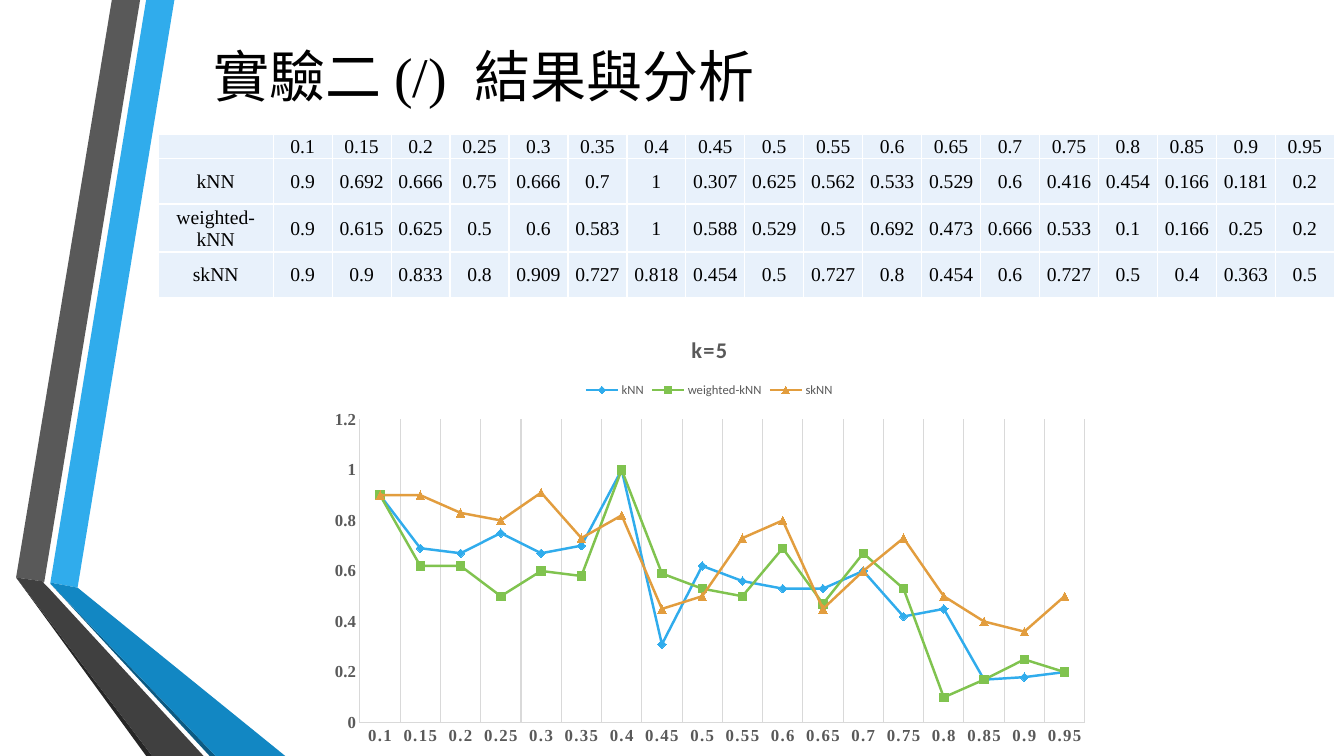
"""Build the slide that compares three kNN variants at k=5."""
from lxml.etree import SubElement
from pptx import Presentation
from pptx.chart.data import CategoryChartData as ChartData
from pptx.dml.color import RGBColor as Color
from pptx.enum.chart import (XL_CHART_TYPE as ChartType, XL_LEGEND_POSITION as LegendPosition,
                             XL_MARKER_STYLE as Marker, XL_TICK_MARK as TickMark)
from pptx.enum.text import MSO_ANCHOR as Anchor, MSO_AUTO_SIZE as AutoSize, PP_ALIGN as Align
from pptx.oxml.ns import qn
from pptx.util import Inches, Pt

TITLE = "實驗二 (/)  結果與分析"
CHART_TITLE = "k=5"
THRESHOLDS = [f"{step * 0.05:g}" for step in range(2, 20)]
RESULTS = {
    "kNN": [0.9, 0.692, 0.666, 0.75, 0.666, 0.7, 1, 0.307, 0.625, 0.562, 0.533, 0.529,
            0.6, 0.416, 0.454, 0.166, 0.181, 0.2],
    "weighted-kNN": [0.9, 0.615, 0.625, 0.5, 0.6, 0.583, 1, 0.588, 0.529, 0.5, 0.692, 0.473,
                     0.666, 0.533, 0.1, 0.166, 0.25, 0.2],
    "skNN": [0.9, 0.9, 0.833, 0.8, 0.909, 0.727, 0.818, 0.454, 0.5, 0.727, 0.8, 0.454,
             0.6, 0.727, 0.5, 0.4, 0.363, 0.5],
}
SERIES_LOOK = [("30ACEC", Marker.DIAMOND), ("80C34F", Marker.SQUARE), ("E29D3E", Marker.TRIANGLE)]
RIBBONS = [
    ("30ACEC", [(0.5, 5.78), (0.77, 5.83), (1.73, 0), (1.45, 0)]),
    ("595959", [(1.39, 0), (1.11, 0), (0.16, 5.73), (0.44, 5.77)]),
    ("262626", [(0.16, 5.73), (1.45, 7.5), (1.51, 7.5)]),
    ("0C5A82", [(0.5, 5.79), (2.08, 7.5), (2.14, 7.5)]),
    ("1287C3", [(0.5, 5.79), (2.14, 7.5), (2.83, 7.5), (0.77, 5.83), (0.5, 5.78)]),
    ("404040", [(2.02, 7.5), (0.48, 5.83), (0.43, 5.78), (0.44, 5.77), (0.16, 5.73), (1.51, 7.5)]),
]
THEME = {
    "serif": "Times New Roman", "sans": "Calibri",
    "ink": "000000", "label": "595959", "rule": "D9D9D9", "cell": "E8F1FB", "border": "FFFFFF",
    "title": 40, "table": 14, "chart": 10, "chart_title": 16, "axis": 12, "legend": 9,
}
TITLE_AREA = (2.02, 0.36, 10.36, 0.77)
TABLE_AREA = (1.57, 1.33, 11.67, 1.62)
CHART_AREA = (3.16, 3.14, 7.75, 4.33)
PLOT_AREA = (3.57, 4.16, 7.19, 3.01)
NAME_WIDTH, HEADER_HEIGHT, RESULT_HEIGHT = 1.14, 0.23, 0.45


def apply(target, **values):
    for name, value in values.items():
        setattr(target, name, value)


def style_font(font, face, size, color, bold=False):
    apply(font, name=THEME[face], size=Pt(THEME[size]), bold=bold)
    font.color.rgb = Color.from_string(THEME[color])


def style_line(line, color, width):
    line.color.rgb = Color.from_string(color)
    line.width = Pt(width)


def paint(fill, color):
    fill.solid()
    fill.fore_color.rgb = Color.from_string(color)


def add_ribbon(page, color, points):
    start, *rest = [(Inches(x), Inches(y)) for x, y in points]
    builder = page.shapes.build_freeform(*start)
    builder.add_line_segments(rest, close=True)
    ribbon = builder.convert_to_shape()
    ribbon.shadow.inherit = False
    paint(ribbon.fill, color)
    ribbon.line.fill.background()


def add_title(page):
    title = page.shapes.title
    left, top, width, height = map(Inches, TITLE_AREA)
    apply(title, left=left, top=top, width=width, height=height)
    frame = title.text_frame
    frame.text = TITLE
    apply(frame, word_wrap=True, vertical_anchor=Anchor.MIDDLE, auto_size=AutoSize.SHAPE_TO_FIT_TEXT)
    para = frame.paragraphs[0]
    para.alignment = Align.LEFT
    style_font(para.runs[0].font, "serif", "title", "ink")


def fill_cell(cell, text):
    apply(cell, vertical_anchor=Anchor.MIDDLE, margin_left=Inches(0.01), margin_right=Inches(0.01),
          margin_top=Inches(0.01), margin_bottom=0)
    para = cell.text_frame.paragraphs[0]
    para.alignment = Align.CENTER
    if text:
        span = para.add_run()
        span.text = text
        style_font(span.font, "serif", "table", "ink")
    else:
        SubElement(para._p, qn("a:endParaRPr"), sz=str(THEME["table"] * 100))
    properties = cell._tc.get_or_add_tcPr()
    for side in ("lnL", "lnR", "lnT", "lnB"):
        border = SubElement(properties, qn(f"a:{side}"), w=str(Pt(1)))
        SubElement(SubElement(border, qn("a:solidFill")), qn("a:srgbClr"), val=THEME["border"])
    paint(cell.fill, THEME["cell"])


def add_results_table(page):
    rows = [["", *THRESHOLDS]]
    rows += [[name, *(f"{value:g}" for value in values)] for name, values in RESULTS.items()]
    table = page.shapes.add_table(len(rows), len(rows[0]), *map(Inches, TABLE_AREA)).table
    apply(table, first_row=False, horz_banding=False)
    value_width = (TABLE_AREA[2] - NAME_WIDTH) / len(THRESHOLDS)
    for index, column in enumerate(table.columns):
        column.width = Inches(value_width if index else NAME_WIDTH)
    for index, texts in enumerate(rows):
        table.rows[index].height = Inches(RESULT_HEIGHT if index else HEADER_HEIGHT)
        for cell, text in zip(table.rows[index].cells, texts):
            fill_cell(cell, text)


def place_plot(chart):
    plot_area = chart._chartSpace.chart.plotArea
    for old in plot_area.findall(qn("c:layout")):
        plot_area.remove(old)
    layout = SubElement(plot_area, qn("c:layout"))
    plot_area.insert(0, layout)
    manual = SubElement(layout, qn("c:manualLayout"))
    SubElement(manual, qn("c:layoutTarget"), val="inner")
    for mode in ("xMode", "yMode"):
        SubElement(manual, qn(f"c:{mode}"), val="edge")
    left, top, width, height = CHART_AREA
    plot_left, plot_top, plot_width, plot_height = PLOT_AREA
    shares = {"x": (plot_left - left) / width, "y": (plot_top - top) / height,
              "w": plot_width / width, "h": plot_height / height}
    for name, share in shares.items():
        SubElement(manual, qn(f"c:{name}"), val=f"{share:.4f}")


def add_results_chart(page):
    data = ChartData()
    data.categories = THRESHOLDS
    for name, values in RESULTS.items():
        data.add_series(name, [round(value * 100) / 100 for value in values])
    chart = page.shapes.add_chart(ChartType.LINE_MARKERS, *map(Inches, CHART_AREA), data).chart
    style_font(chart.font, "sans", "chart", "ink")
    apply(chart, has_title=True, has_legend=True)
    heading = chart.chart_title.text_frame
    heading.text = CHART_TITLE
    heading_font = heading.paragraphs[0].runs[0].font
    style_font(heading_font, "sans", "chart_title", "label", bold=True)
    apply(chart.legend, position=LegendPosition.TOP, include_in_layout=False)
    style_font(chart.legend.font, "sans", "legend", "label")

    for axis in (chart.category_axis, chart.value_axis):
        apply(axis, major_tick_mark=TickMark.NONE, minor_tick_mark=TickMark.NONE)
        style_font(axis.tick_labels.font, "serif", "axis", "label", bold=True)
        style_line(axis.format.line, THEME["rule"], 0.75)
    chart.category_axis.has_major_gridlines = True
    style_line(chart.category_axis.major_gridlines.format.line, THEME["rule"], 0.75)
    apply(chart.value_axis, has_major_gridlines=False, minimum_scale=0, maximum_scale=1.2, major_unit=0.2)
    for font in (heading_font, chart.category_axis.tick_labels.font):
        font._rPr.set("spc", "100")

    chart.plots[0].vary_by_categories = False
    for series, (color, marker) in zip(chart.plots[0].series, SERIES_LOOK):
        series.smooth = False
        style_line(series.format.line, color, 1.75)
        apply(series.marker, style=marker, size=6)
        paint(series.marker.format.fill, color)
        style_line(series.marker.format.line, color, 0.75)
    place_plot(chart)


def main():
    deck = Presentation()
    apply(deck, slide_width=Inches(13.33), slide_height=Inches(7.5))
    page = deck.slides.add_slide(deck.slide_layouts[5])
    for color, points in RIBBONS:
        add_ribbon(page, color, points)
    add_title(page)
    add_results_table(page)
    add_results_chart(page)
    deck.save("out.pptx")


if __name__ == "__main__":
    main()
